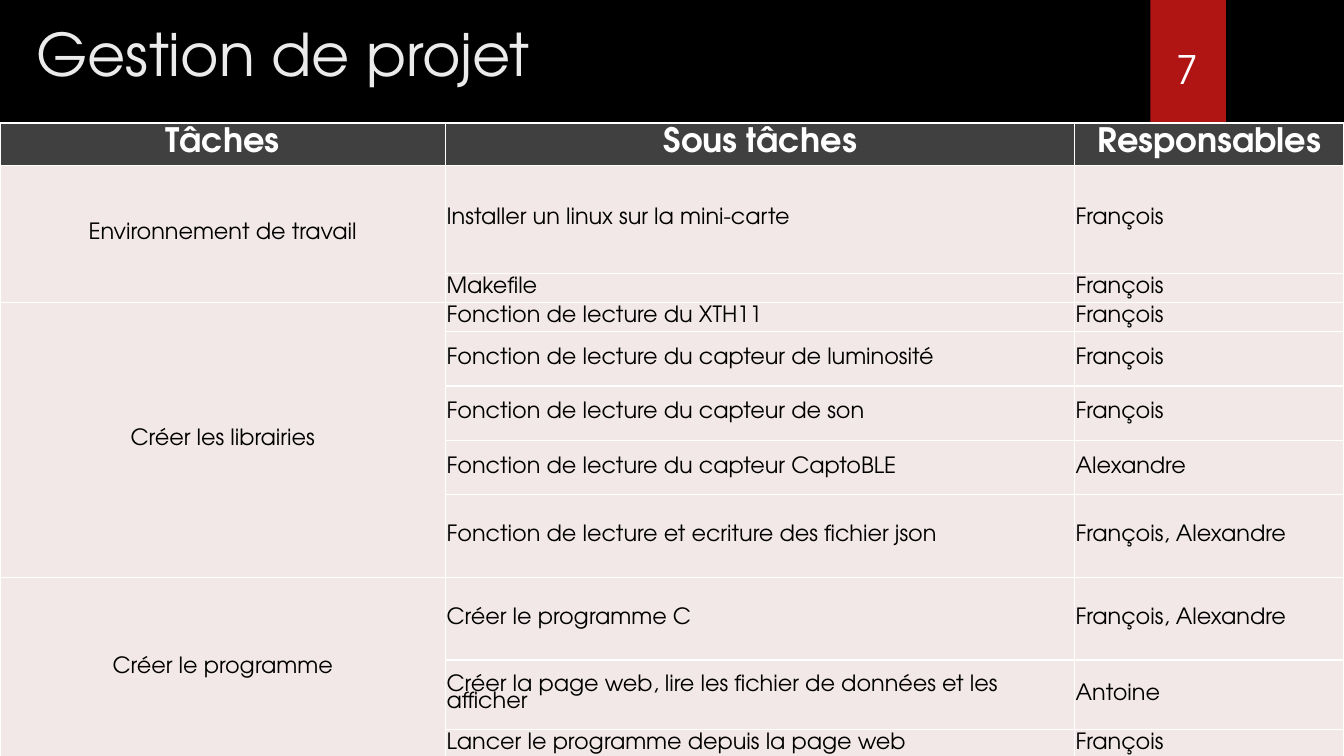
import pptx
import pptx.util
import pptx.dml.color
import pptx.enum.text
import pptx.enum.shapes
import pptx.oxml
import pptx.oxml.ns
from pptx.util import Inches

FONT = "TeX Gyre Adventor"
COLORS = {
    "back": "000000", "tab": "B01513", "title": "EBEBEB", "white": "FFFFFF",
    "head": "404040", "body": "F2E8E7", "ink": "000000",
}
HEADS = ["Tâches", "Sous tâches", "Responsables"]
TASKS = [
    ("Environnement de travail", [
        ("Installer un linux sur la mini-carte", "François", 1.07),
        ("Makefile", "François", 0.29),
    ]),
    ("Créer les librairies", [
        ("Fonction de lecture du XTH11", "François", 0.29),
        ("Fonction de lecture du capteur de luminosité", "François", 0.54),
        ("Fonction de lecture du capteur de son", "François", 0.54),
        ("Fonction de lecture du capteur CaptoBLE", "Alexandre", 0.54),
        ("Fonction de lecture et ecriture des fichier json",
         "François, Alexandre", 0.82),
    ]),
    ("Créer le programme", [
        ("Créer le programme C", "François, Alexandre", 0.82),
        ("Créer la page web, lire les fichier de données et les afficher",
         "Antoine", 0.69),
        ("Lancer le programme depuis la page web", "François", 0.28),
    ]),
]
WIDTHS = [4.42, 6.24, 2.67]
HEAD_H = 0.42
ALIGN = pptx.enum.text.PP_ALIGN
ANCHOR = pptx.enum.text.MSO_ANCHOR


def paint(fill, name):
    fill.solid()
    fill.fore_color.rgb = pptx.dml.color.RGBColor.from_string(COLORS[name])


def write(frame, text, size, color, align=ALIGN.LEFT, bold=False):
    frame.text = text
    frame.word_wrap = True
    par = frame.paragraphs[0]
    par.alignment = align
    font = par.runs[0].font
    font.name, font.size, font.bold = FONT, pptx.util.Pt(size), bold
    paint(font.fill, color)
    return par


def add_text(slide, box, text, size, color, align, anchor):
    frame = slide.shapes.add_textbox(*map(Inches, box)).text_frame
    write(frame, text, size, color, align)
    frame.vertical_anchor = anchor


def add_edges(cell):
    """Draw a thin white line on all four sides of a cell."""
    props = cell._tc.get_or_add_tcPr()
    for side in "LRTB":
        props.append(pptx.oxml.parse_xml(
            f'<a:ln{side} {pptx.oxml.ns.nsdecls("a")} w="12700"><a:solidFill>'
            f'<a:srgbClr val="{COLORS["white"]}"/></a:solidFill></a:ln{side}>'))


def fill_cell(cell, text, head=False, center=False):
    cell.margin_left = cell.margin_right = cell.margin_top = Inches(0.01)
    cell.margin_bottom = 0
    cell.vertical_anchor = ANCHOR.MIDDLE
    paint(cell.fill, "head" if head else "body")
    par = write(cell.text_frame, text, 24 if head else 16,
                "white" if head else "ink",
                ALIGN.CENTER if center else ALIGN.LEFT, head)
    par.line_spacing = 0.8


def add_header(slide, left, top, width, height):
    tab = slide.shapes.add_shape(
        pptx.enum.shapes.MSO_SHAPE.RECTANGLE,
        Inches(left + width - 1.92), Inches(top), Inches(0.75), Inches(height))
    tab.shadow.inherit = False
    paint(tab.fill, "tab")
    tab.line.fill.background()
    add_text(slide, (left + 0.26, top + 0.13, 10.29, 1.53), "Gestion de projet",
             42, "title", ALIGN.LEFT, ANCHOR.TOP)
    add_text(slide, (left + width - 2.01, top + 0.13, 0.92, 0.84), "7",
             28, "white", ALIGN.CENTER, ANCHOR.BOTTOM)


def add_plan(slide, left, top, width, height):
    sizes = [HEAD_H] + [size for _, subs in TASKS for _, _, size in subs]
    table = slide.shapes.add_table(
        len(sizes), len(WIDTHS), *map(Inches, (left, top, width, height))).table
    for col, size in zip(table.columns, WIDTHS):
        col.width = Inches(size)
    for row, size in zip(table.rows, sizes):
        row.height = Inches(size)
    for cell in table.iter_cells():
        add_edges(cell)
    for col, text in enumerate(HEADS):
        fill_cell(table.cell(0, col), text, head=True, center=True)
    row = 1
    for task, subs in TASKS:
        first = table.cell(row, 0)
        first.merge(table.cell(row + len(subs) - 1, 0))
        fill_cell(first, task, center=True)
        for sub, owner, _ in subs:
            fill_cell(table.cell(row, 1), sub)
            fill_cell(table.cell(row, 2), owner)
            row += 1


def main():
    deck = pptx.Presentation()
    deck.slide_width, deck.slide_height = Inches(13.33), Inches(7.5)
    slide = deck.slides.add_slide(deck.slide_layouts[6])
    paint(slide.background.fill, "back")
    add_header(slide, 0, 0, 13.33, 1.25)
    add_plan(slide, 0, 1.22, 13.33, 6.28)
    deck.save("out.pptx")


if __name__ == "__main__":
    main()
